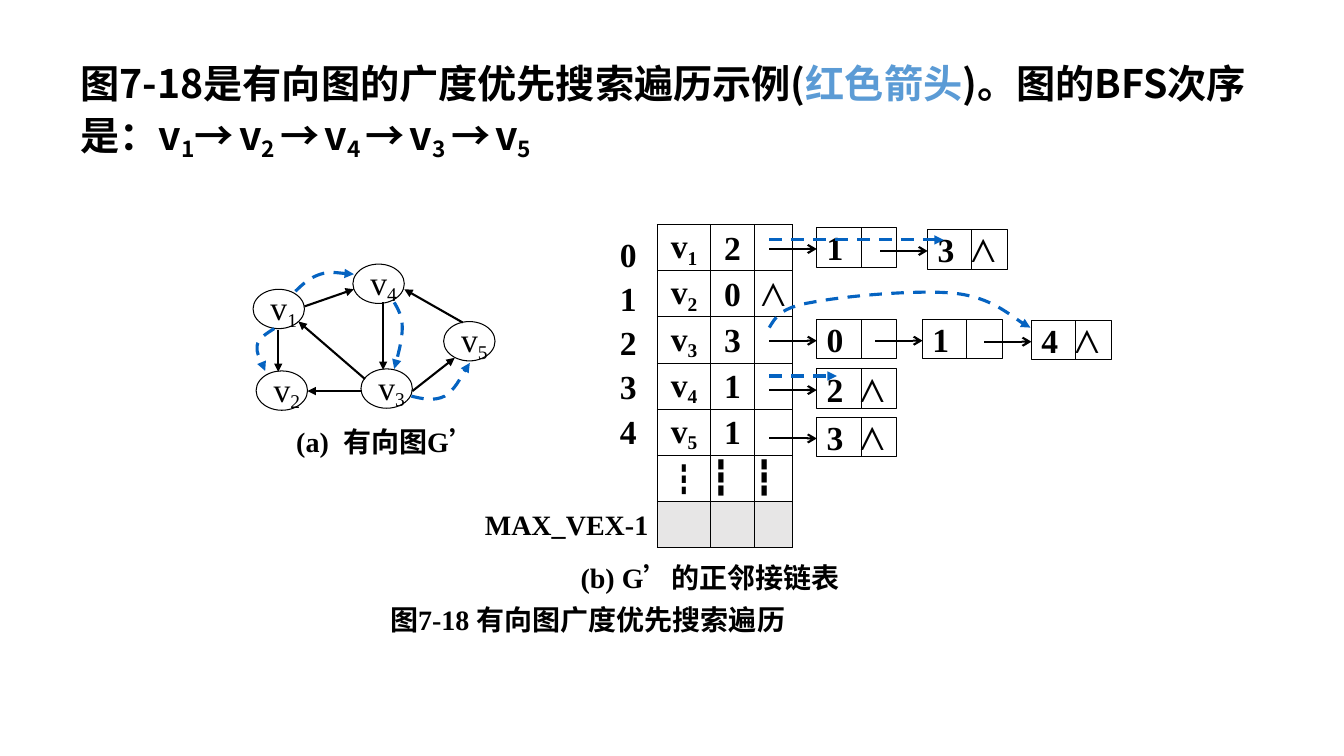
from dataclasses import dataclass

from lxml.etree import SubElement
from pptx import Presentation
from pptx.dml.color import RGBColor
from pptx.enum.dml import MSO_LINE
from pptx.enum.shapes import MSO_CONNECTOR, MSO_SHAPE
from pptx.enum.text import MSO_ANCHOR, MSO_AUTO_SIZE, PP_ALIGN
from pptx.oxml.ns import qn
from pptx.util import Inches, Pt

SERIF, SANS = "Times New Roman", "Noto Sans CJK SC"
BLACK, BLUE, HIGHLIGHT, GREY = "000000", "0563C1", "5B9BD5", "E7E6E6"
Point = tuple[float, float]


@dataclass
class Caption:
    text: str
    left: float
    top: float
    width: float


@dataclass
class ListNode:
    left: float
    top: float
    index: str
    is_last: bool = False


@dataclass
class Vertex:
    number: int
    left: float
    top: float


CAPTIONS = [
    Caption("(a)  有向图G’", 2.84, 4.2, 2.4),
    Caption("(b) G’的正邻接链表", 5.66, 5.55, 3.4),
    Caption("图7-18 有向图广度优先搜索遍历", 3.77, 5.97, 4.8),
    Caption("MAX_VEX-1", 4.71, 5.03, 1.85),
]
VERTEX_ROWS = [
    ("v~1", "2", ""), ("v~2", "0", "⋀"), ("v~3", "3", ""), ("v~4", "1", ""),
    ("v~5", "1", ""), ("┇", "┇", "┇"), ("", "", ""),
]
LIST_NODES = [
    ListNode(8.1, 2.26, "1"), ListNode(9.2, 2.28, "3", True),
    ListNode(8.1, 3.17, "0"), ListNode(9.15, 3.17, "1"), ListNode(10.23, 3.18, "4", True),
    ListNode(8.1, 3.66, "2", True), ListNode(8.1, 4.14, "3", True),
]
VERTICES = [
    Vertex(1, 2.51, 2.87), Vertex(2, 2.54, 3.68), Vertex(3, 3.58, 3.66),
    Vertex(4, 3.5, 2.62), Vertex(5, 4.4, 3.19),
]
EDGES = [
    ((2.76, 3.27), (2.76, 3.69)), ((3.8, 3.0), (3.8, 3.67)),
    ((3.62, 3.76), (2.96, 3.19)), ((3.02, 3.04), (3.51, 2.87)),
    ((3.59, 3.88), (3.05, 3.88)), ((4.59, 3.2), (4.01, 2.87)),
    ((4.09, 3.88), (4.51, 3.55)),
]
STRAIGHT_VISITS = [((7.63, 2.38), (9.36, 2.38)), ((7.63, 3.73), (8.3, 3.73))]
# Each curve is a start point followed by triples of Bezier control points.
CURVED_VISITS = [
    [(7.63, 3.25), (7.69, 3.15), (7.74, 3.05), (8.05, 3.0), (8.35, 2.94),
     (9.1, 2.87), (9.47, 2.91), (9.83, 2.95), (10.09, 3.19), (10.22, 3.25)],
    [(2.93, 2.89), (3.0, 2.82), (3.08, 2.75), (3.18, 2.72), (3.27, 2.69), (3.45, 2.72), (3.51, 2.72)],
    [(2.72, 3.26), (2.64, 3.31), (2.56, 3.36), (2.55, 3.43), (2.54, 3.5), (2.62, 3.64), (2.63, 3.68)],
    [(3.91, 3.0), (3.95, 3.07), (3.99, 3.14), (3.99, 3.25), (3.99, 3.36), (3.93, 3.6), (3.91, 3.66)],
    [(4.08, 3.93), (4.2, 3.96), (4.31, 3.98), (4.41, 3.93), (4.51, 3.87), (4.62, 3.65), (4.66, 3.6)],
]


def rgb(color: str) -> RGBColor:
    return RGBColor.from_string(color)


def add_text(paragraph, text: str, *, size: float = 24, font: str = SERIF, east_asian: str = SANS,
             color: str = BLACK, bold: bool = True, baseline: int = -20) -> None:
    """Append runs to the paragraph; a tilde switches subscript on and off."""
    for position, part in enumerate(text.split("~")):
        if not part:
            continue
        run = paragraph.add_run()
        run.text = part
        run.font.size, run.font.bold, run.font.name = Pt(size), bold, font
        run.font.color.rgb = rgb(color)
        properties = run._r.get_or_add_rPr()
        SubElement(properties, qn("a:ea"), typeface=east_asian)
        if position % 2:
            properties.set("baseline", str(baseline * 1000))


def add_box(slide, kind: MSO_SHAPE, left: float, top: float, width: float, height: float,
            text: str, *, bold: bool = True):
    """Draw an outlined shape and return its paragraph."""
    box = slide.shapes.add_shape(kind, Inches(left), Inches(top), Inches(width), Inches(height))
    box.shadow.inherit = False
    box.fill.background()
    box.line.color.rgb, box.line.width = rgb(BLACK), Pt(0.75)
    frame = box.text_frame
    frame.word_wrap, frame.vertical_anchor = False, MSO_ANCHOR.MIDDLE
    frame.margin_left = Inches(0.1)
    frame.margin_right = frame.margin_top = frame.margin_bottom = 0
    frame.paragraphs[0].alignment = PP_ALIGN.LEFT
    add_text(frame.paragraphs[0], text, bold=bold)
    return frame.paragraphs[0]


def add_label(slide, left: float, top: float, width: float, height: float, lines: list[str], *,
              size: float, spacing: float = 1.0) -> None:
    frame = slide.shapes.add_textbox(Inches(left), Inches(top), Inches(width), Inches(height)).text_frame
    frame.word_wrap, frame.vertical_anchor = True, MSO_ANCHOR.MIDDLE
    frame.margin_top = frame.margin_bottom = 0
    for number, line in enumerate(lines):
        paragraph = frame.add_paragraph() if number else frame.paragraphs[0]
        paragraph.line_spacing = spacing
        add_text(paragraph, line, size=size)


def add_line(slide, start: Point, end: Point, *, color: str = BLACK, width: float = 1.5):
    ends = [Inches(value) for value in (*start, *end)]
    line = slide.shapes.add_connector(MSO_CONNECTOR.STRAIGHT, *ends)
    line.line.color.rgb, line.line.width = rgb(color), Pt(width)
    SubElement(line._element.spPr, qn("a:effectLst"))
    return line


def add_head(shape, head: str = "triangle") -> None:
    SubElement(shape._element.spPr.get_or_add_ln(), qn("a:tailEnd"), type=head)


def style_visit(shape) -> None:
    shape.line.color.rgb, shape.line.width = rgb(BLUE), Pt(2.25)
    shape.line.dash_style = MSO_LINE.DASH
    add_head(shape)


def add_curve(slide, controls: list[Point]) -> None:
    """Draw a freeform whose segments are merged by threes into Bezier curves."""
    start, *others = [(Inches(x), Inches(y)) for x, y in controls]
    builder = slide.shapes.build_freeform(*start)
    builder.add_line_segments(others, close=False)
    curve = builder.convert_to_shape()
    segments = list(curve._element.iter(qn("a:lnTo")))
    for first in range(0, len(segments), 3):
        bezier = SubElement(segments[first].getparent(), qn("a:cubicBezTo"))
        for segment in segments[first:first + 3]:
            bezier.append(segment[0])
            segment.getparent().remove(segment)
    curve.shadow.inherit = False
    curve.fill.background()
    style_visit(curve)


def fill_body(slide) -> None:
    slide.shapes.title._element.getparent().remove(slide.shapes.title._element)
    body = slide.placeholders[1]
    body.left, body.top, body.width, body.height = (Inches(value) for value in (0.7, 0.49, 11.77, 1.39))
    body.text_frame.auto_size = MSO_AUTO_SIZE.TEXT_TO_FIT_SHAPE
    paragraph = body.text_frame.paragraphs[0]
    paragraph.line_spacing, paragraph.space_before = 1.1, Pt(10)
    properties = paragraph._p.get_or_add_pPr()
    properties.set("marL", "0")
    properties.set("indent", "0")
    SubElement(properties, qn("a:buNone"))
    for text, color in (("图7-18是有向图的广度优先搜索遍历示例(", BLACK), ("红色箭头", HIGHLIGHT),
                        (")。图的BFS次序是：v~1~→~ ~v~2 ~→~ ~v~4 ~→~ ~v~3 ~→~ ~v~5", BLACK)):
        add_text(paragraph, text, size=28, font=SANS, color=color, baseline=-18)


def add_border(cell) -> None:
    properties = cell._tc.get_or_add_tcPr()
    for position, side in enumerate(("lnL", "lnR", "lnT", "lnB")):
        line = properties.makeelement(qn(f"a:{side}"), {"w": str(Pt(0.75))})
        properties.insert(position, line)
        SubElement(SubElement(line, qn("a:solidFill")), qn("a:srgbClr"), val=BLACK)


def add_vertex_table(slide) -> None:
    widths, height = (0.53, 0.43, 0.38), 3.2
    table = slide.shapes.add_table(len(VERTEX_ROWS), len(widths), Inches(6.52), Inches(2.23),
                                   Inches(sum(widths)), Inches(height)).table
    table.first_row = table.horz_banding = False
    for column, width in zip(table.columns, widths):
        column.width = Inches(width)
    for row, texts in zip(table.rows, VERTEX_ROWS):
        row.height = Inches(height / len(VERTEX_ROWS))
        for number, (cell, text) in enumerate(zip(row.cells, texts)):
            cell.margin_left = cell.margin_right = cell.margin_bottom = 0
            cell.margin_top = Inches(0.03)
            cell.vertical_anchor = MSO_ANCHOR.MIDDLE
            if any(texts):
                cell.fill.background()
            else:
                cell.fill.solid()
                cell.fill.fore_color.rgb = rgb(GREY)
            add_border(cell)
            paragraph = cell.text_frame.paragraphs[0]
            is_dots = text == "┇"
            paragraph.alignment = PP_ALIGN.LEFT if is_dots and number else PP_ALIGN.CENTER
            paragraph.line_spacing = 0.85 if is_dots else 1.0
            paragraph.font.size = Pt(24)
            add_text(paragraph, text, font=SANS if is_dots and not number else SERIF,
                     east_asian=SERIF if number else SANS, bold=text != "⋀")


def add_list_node(slide, node: ListNode) -> None:
    paragraph = add_box(slide, MSO_SHAPE.RECTANGLE, node.left, node.top, 0.79, 0.39,
                        node.index + "  " * node.is_last)
    if node.is_last:
        add_text(paragraph, "⋀", bold=False)
    divider, arrow_top = node.left + 0.44, node.top + 0.21
    add_line(slide, (divider, node.top), (divider, node.top + 0.39), width=0.75)
    add_head(add_line(slide, (node.left - 0.47, arrow_top), (node.left, arrow_top)), "arrow")


def main() -> None:
    presentation = Presentation()
    presentation.slide_width, presentation.slide_height = Inches(13.33), Inches(7.5)
    slide = presentation.slides.add_slide(presentation.slide_layouts[1])
    fill_body(slide)
    add_vertex_table(slide)
    add_label(slide, 6.05, 2.22, 0.39, 2.31, list("01234"), size=24, spacing=1.1)
    for caption in CAPTIONS:
        add_label(slide, caption.left, caption.top, caption.width, 0.35, [caption.text], size=20)
    for node in LIST_NODES:
        add_list_node(slide, node)
    for vertex in VERTICES:
        add_box(slide, MSO_SHAPE.OVAL, vertex.left, vertex.top, 0.51, 0.39, f"v~{vertex.number}", bold=False)
    for start, end in EDGES:
        add_head(add_line(slide, start, end))
    for start, end in STRAIGHT_VISITS:
        style_visit(add_line(slide, start, end))
    for controls in CURVED_VISITS:
        add_curve(slide, controls)
    presentation.save("out.pptx")


if __name__ == "__main__":
    main()
